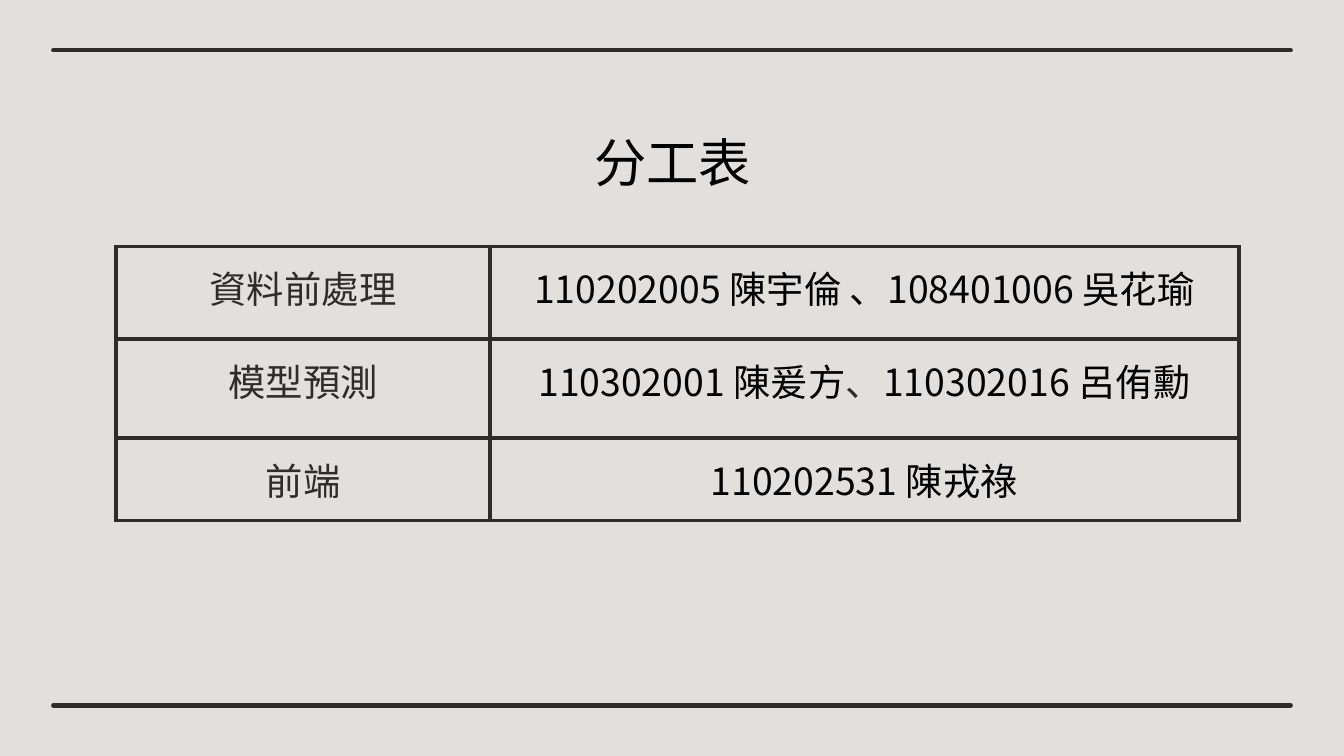
from lxml.etree import SubElement
from pptx import Presentation
from pptx.dml.color import RGBColor
from pptx.enum.shapes import MSO_CONNECTOR
from pptx.enum.text import PP_ALIGN
from pptx.oxml import parse_xml
from pptx.oxml.ns import nsdecls, qn
from pptx.util import Pt

PX = 9525  # 96 px to the inch
FONT = "Noto Sans CJK TC"
BACK, DARK, BLACK = "E1E0DC", "2D2D2C", "000000"
BORDER = 2.25
INSET = 10

ROWS = [
    ("資料前處理", [("110202005 陳宇倫 、108401006 吳花瑜", BLACK)]),
    ("模型預測", [("110302001 陳爰方", BLACK), ("、", DARK),
              ("110302016 呂侑勳", BLACK)]),
    ("前端", [("110202531 陳戎祿", BLACK)]),
]


def px(n):
    return int(n * PX)


def rgb(value):
    return RGBColor.from_string(value)


def set_insets(target):
    for side in ("left", "top", "right", "bottom"):
        setattr(target, f"margin_{side}", px(INSET))


def write(tf, runs, size, space_after=0):
    p = tf.paragraphs[0]
    for name, value in {"alignment": PP_ALIGN.CENTER, "space_before": Pt(0),
                        "space_after": Pt(space_after)}.items():
        setattr(p, name, value)
    for text, color in runs:
        r = p.add_run()
        r.text = text
        for name, value in {"name": FONT, "size": Pt(size)}.items():
            setattr(r.font, name, value)
        r.font.color.rgb = rgb(color)
        SubElement(r.font._element, qn("a:ea"), typeface=FONT)


def add_rule(s, x, y, width):
    line = s.shapes.add_connector(MSO_CONNECTOR.STRAIGHT, px(x), px(y), px(x + width), px(y))
    line.line.color.rgb = rgb(DARK)
    line.line.width = Pt(BORDER)
    line.line._get_or_add_ln().set("cap", "rnd")
    SubElement(line._element.spPr, qn("a:effectLst"))


def add_title(s, x, y, width, height):
    sp = s.shapes.add_textbox(px(x), px(y), px(width), px(height))
    tf = sp.text_frame
    tf.word_wrap = True
    set_insets(tf)
    write(tf, [("分工表", BLACK)], 28)


def set_borders(cell):
    tcPr = cell._tc.get_or_add_tcPr()
    for i, side in enumerate("LRTB"):
        tcPr.insert(i, parse_xml(
            f'<a:ln{side} {nsdecls("a")} w="{Pt(BORDER)}"><a:solidFill>'
            f'<a:srgbClr val="{DARK}"/></a:solidFill></a:ln{side}>'))


def add_duties(s, x, y, widths, heights):
    table = s.shapes.add_table(len(heights), len(widths), px(x), px(y),
                               px(sum(widths)), px(sum(heights))).table
    table.first_row = table.horz_banding = False
    for column, width in zip(table.columns, widths):
        column.width = px(width)
    for row, height, (task, people) in zip(table.rows, heights, ROWS):
        row.height = px(height)
        write(row.cells[0].text_frame, [(task, DARK)], 20)
        write(row.cells[1].text_frame, people, 20, space_after=16)
        for cell in row.cells:
            set_insets(cell)
            cell.fill.background()
            set_borders(cell)


def main():
    prs = Presentation()
    prs.slide_width, prs.slide_height = px(960), px(540)
    s = prs.slides.add_slide(prs.slide_layouts[6])
    s.background.fill.solid()
    s.background.fill.fore_color.rgb = rgb(BACK)

    # Rules at top and bottom
    for y in (36, 504):
        add_rule(s, 38, y, 884)

    # Table of duties
    add_duties(s, 83, 176, (267, 535), (66, 71, 58))

    # Title
    add_title(s, 76, 83, 809, 73)
    prs.save("out.pptx")


if __name__ == "__main__":
    main()
